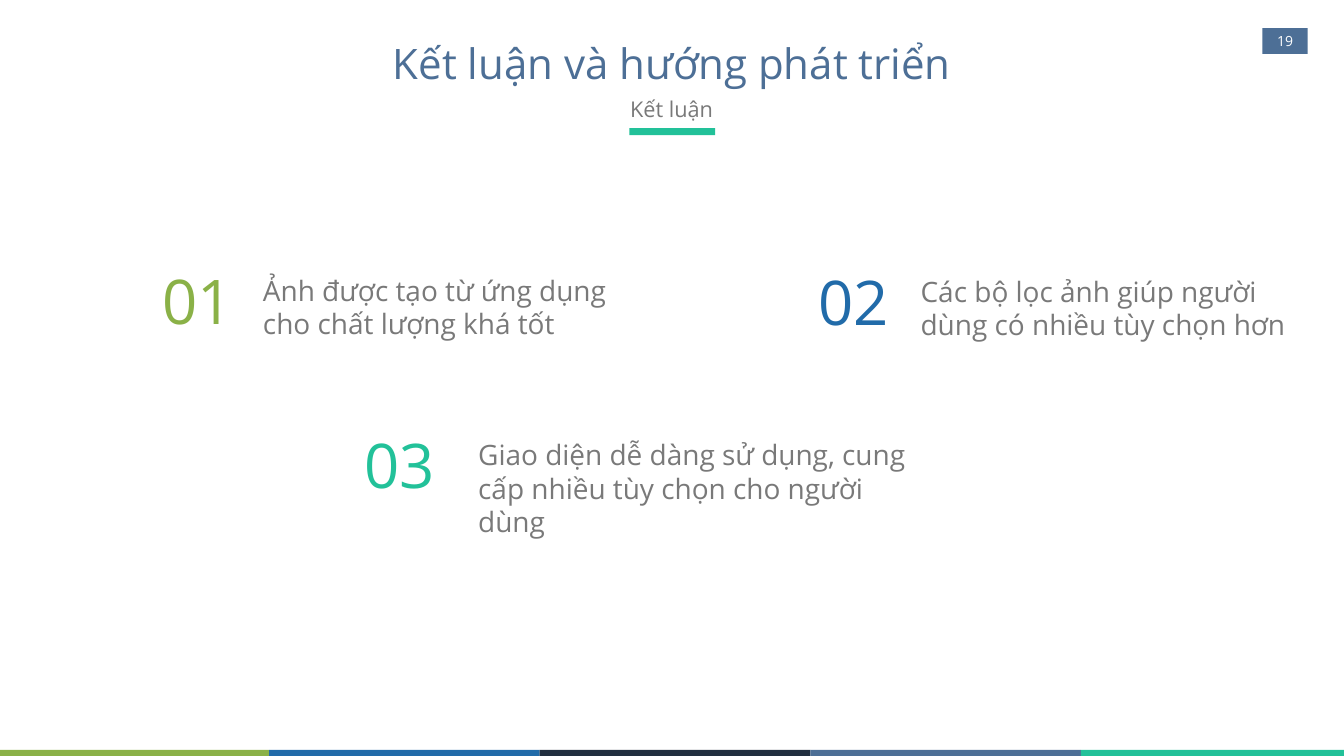
from dataclasses import dataclass

from pptx import Presentation
from pptx.dml.color import RGBColor
from pptx.enum.shapes import MSO_SHAPE
from pptx.enum.text import MSO_ANCHOR, MSO_AUTO_SIZE, PP_ALIGN
from pptx.util import Inches, Pt


@dataclass(frozen=True)
class Theme:
    font: str = "Open Sans"
    white: str = "FFFFFF"
    grey: str = "797979"
    green: str = "8AB147"
    blue: str = "216BA9"
    navy: str = "212F3F"
    slate: str = "4D6F96"
    teal: str = "22C199"
    title_size: int = 60
    subtitle_size: int = 31
    number_size: int = 88
    body_size: int = 40
    page_size: int = 20


THEME = Theme()
TITLE_INSETS = (0.24, 0.12, 0.24, 0.12)
NUMBER_INSETS = (0.1, 0.05, 0.1, 0.05)
BODY_INSETS = (0.1, 0, 0.1, 0.05)


def write_text(shape, text, size, color, insets, align=PP_ALIGN.CENTER, anchor=MSO_ANCHOR.MIDDLE):
    """Fill a shape with one formatted paragraph and return the paragraph."""
    frame = shape.text_frame
    frame.word_wrap = True
    frame.auto_size = MSO_AUTO_SIZE.NONE
    frame.vertical_anchor = anchor
    frame.margin_left, frame.margin_top, frame.margin_right, frame.margin_bottom = map(Inches, insets)
    paragraph = frame.paragraphs[0]
    paragraph.alignment = align
    run = paragraph.add_run()
    run.text = text
    run.font.name = THEME.font
    run.font.size = Pt(size)
    run.font.color.rgb = RGBColor.from_string(color)
    return paragraph


def add_bar(slide, left, top, width, height, color):
    bar = slide.shapes.add_shape(MSO_SHAPE.RECTANGLE, *map(Inches, (left, top, width, height)))
    bar.shadow.inherit = False
    bar.fill.solid()
    bar.fill.fore_color.rgb = RGBColor.from_string(color)
    bar.line.fill.background()
    return bar


def add_text(slide, box, *args, **options):
    return write_text(slide.shapes.add_textbox(*map(Inches, box)), *args, **options)


def add_title(slide, text):
    title = slide.shapes.title
    title.left, title.top, title.width, title.height = map(Inches, (2, 0.62, 22.67, 1.24))
    write_text(title, text, THEME.title_size, THEME.slate, TITLE_INSETS)


def add_footer_stripes(slide):
    colors = (THEME.green, THEME.blue, THEME.navy, THEME.slate, THEME.teal)
    width = 5.37
    for index, color in enumerate(colors):
        add_bar(slide, -0.03 + index * width, 14.88, width, 0.2, color)


def add_conclusion(slide, number, color, number_box, text, text_box):
    # The trailing space shifts the centred number slightly to the left
    add_text(slide, number_box, f"{number:02d} ", THEME.number_size, color, NUMBER_INSETS)
    add_text(slide, text_box, text, THEME.body_size, THEME.grey, BODY_INSETS,
             align=PP_ALIGN.LEFT, anchor=MSO_ANCHOR.TOP)


def main():
    presentation = Presentation()
    presentation.slide_width = Inches(26.67)
    presentation.slide_height = Inches(15)
    slide = presentation.slides.add_slide(presentation.slide_layouts[5])

    # Footer and page number
    add_footer_stripes(slide)
    page_badge = add_bar(slide, 25.05, 0.56, 0.9, 0.51, THEME.slate)
    write_text(page_badge, "19", THEME.page_size, THEME.white, (0, 0, 0, 0))

    # Heading
    add_title(slide, "Kết luận và hướng phát triển")
    subtitle = add_text(slide, (2.03, 1.62, 22.59, 0.88), "Kết luận", THEME.subtitle_size,
                        THEME.grey, TITLE_INSETS, anchor=MSO_ANCHOR.TOP)
    subtitle.line_spacing = 1.3
    add_bar(slide, 12.49, 2.54, 1.7, 0.14, THEME.teal)

    # Numbered conclusions
    conclusions = (
        (THEME.green, (2.82, 5.15, 2.51, 1.58),
         "Ảnh được tạo từ ứng dụng cho chất lượng khá tốt", (5.12, 5.42, 7.19, 1.4)),
        (THEME.blue, (15.79, 5.17, 2.61, 1.58),
         "Các bộ lọc ảnh giúp người dùng có nhiều tùy chọn hơn", (18.17, 5.44, 7.47, 2.07)),
        (THEME.teal, (6.52, 8.41, 3.14, 1.58),
         "Giao diện dễ dàng sử dụng, cung cấp nhiều tùy chọn cho người dùng", (9.39, 8.68, 9.01, 2.07)),
    )
    for number, conclusion in enumerate(conclusions, start=1):
        add_conclusion(slide, number, *conclusion)

    presentation.save("out.pptx")


if __name__ == "__main__":
    main()
